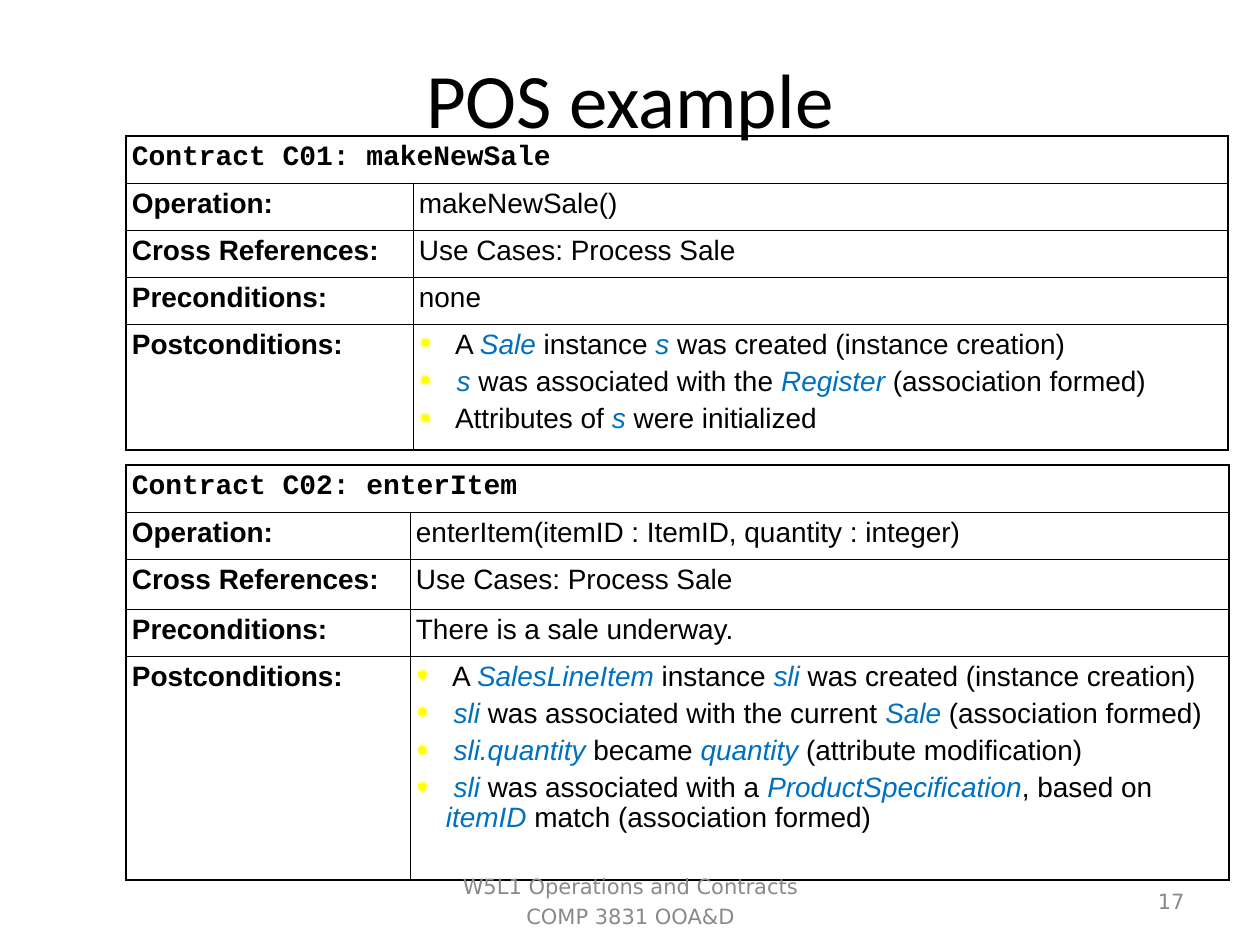
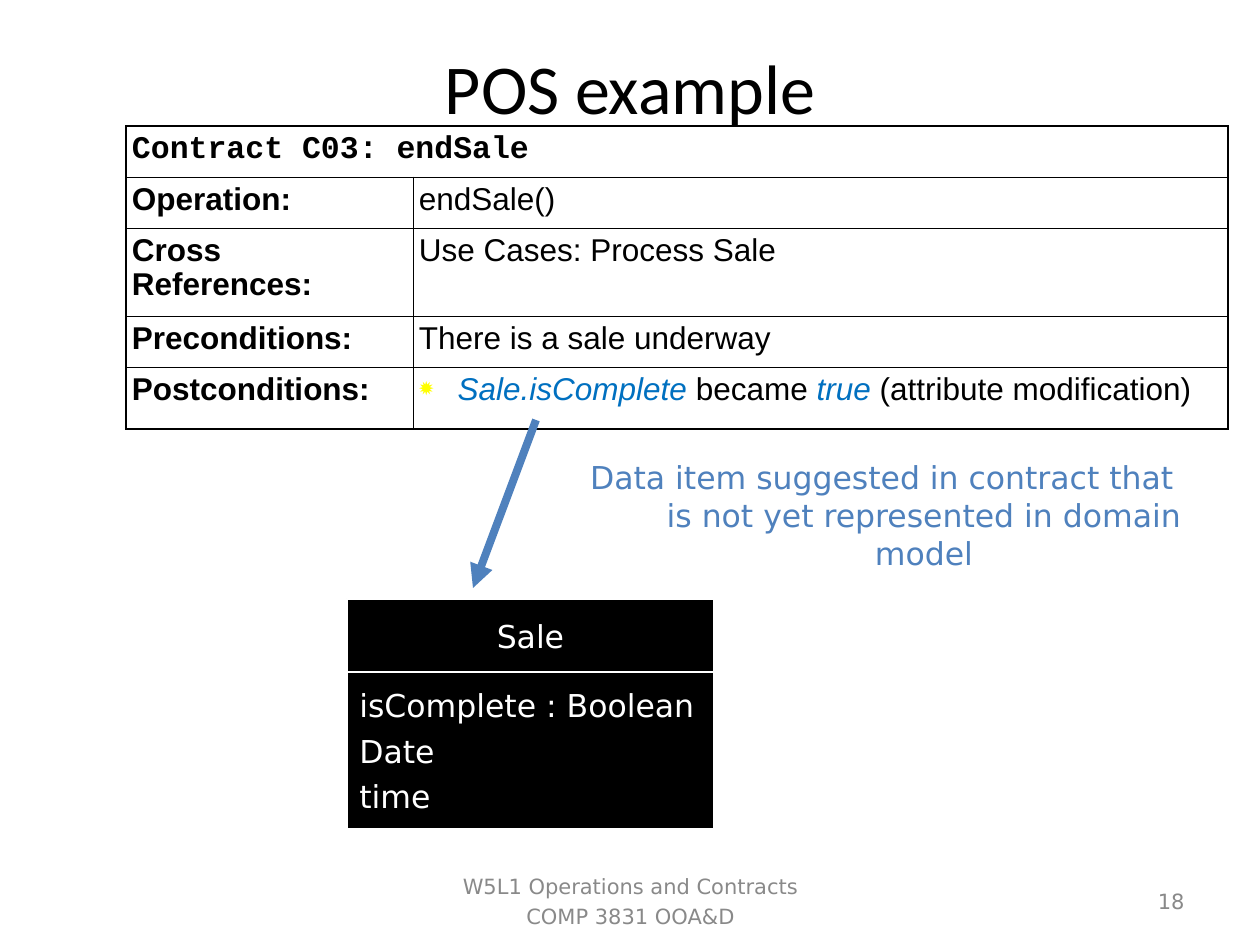
from lxml.etree import SubElement
from pptx import Presentation
from pptx.dml.color import RGBColor
from pptx.enum.shapes import MSO_CONNECTOR, MSO_SHAPE
from pptx.enum.text import MSO_ANCHOR, PP_ALIGN
from pptx.oxml.ns import qn
from pptx.util import Emu, Pt

SCALE = 914400 / 126
COLORS = {"ink": "000000", "paper": "FFFFFF", "term": "0070C0",
          "star": "FFFF00", "note": "4F81BD", "foot": "898989"}
HEAD, BODY, CODE, SANS = "Calibri", "Arial", "Courier New", "DejaVu Sans"
LABELS = ["Operation:", "Cross References:", "Preconditions:", "Postconditions:"]
THICK, THIN = 1.08, 0.45
HANG = 84


def px(n):
    return Emu(round(n * SCALE))


def rgb(name):
    return RGBColor.from_string(COLORS[name])


def add_run(para, text, size, font, color="ink", bold=False, italic=False):
    run = para.add_run()
    run.text = text
    run.font.size = Pt(size)
    run.font.name = font
    run.font.bold = bold
    run.font.italic = italic
    run.font.color.rgb = rgb(color)


def indent(para, left, first):
    props = para._p.get_or_add_pPr()
    props.set("marL", str(px(left)))
    props.set("indent", str(px(first)))
    return props


def add_paras(frame, lines):
    """Yield one paragraph for each line, reusing the first."""
    for i, line in enumerate(lines):
        yield (frame.add_paragraph() if i else frame.paragraphs[0]), line


def fill_text(frame, lines, size, font, color, align, before=0, hang=0,
              anchor=MSO_ANCHOR.MIDDLE, wrap=True):
    frame.word_wrap = wrap
    frame.vertical_anchor = anchor
    for para, line in add_paras(frame, lines):
        para.alignment = align
        para.space_before = Pt(before)
        if hang:
            indent(para, hang, -hang)
        add_run(para, line, size, font, color)


def add_text(slide, box, lines, size, font, color, align, **opts):
    shape = slide.shapes.add_textbox(*map(px, box))
    fill_text(shape.text_frame, lines, size, font, color, align, **opts)


def add_star(para):
    props = indent(para, 30, -30)
    tint = SubElement(props, qn("a:buClr"))
    SubElement(tint, qn("a:srgbClr"), val=COLORS["star"])
    SubElement(props, qn("a:buSzPct"), val="80000")
    SubElement(props, qn("a:buChar"), char="✹")


def set_edges(cell, widths):
    """Draw cell borders; widths are left, right, top, bottom in points."""
    props = cell._tc.get_or_add_tcPr()
    for side, width in zip("LRTB", widths):
        line = SubElement(props, qn("a:ln" + side), w=str(Pt(width)))
        solid = SubElement(line, qn("a:solidFill"))
        SubElement(solid, qn("a:srgbClr"), val=COLORS["ink"])
    cell.fill.background()


def fill_cell(cell, lines, size, font=BODY, bold=False, stars=False):
    """Write the lines; words between asterisks become blue italic terms."""
    for para, line in add_paras(cell.text_frame, lines):
        para.space_before = Pt(size / 4)
        para.line_spacing = 0.97
        if stars:
            add_star(para)
        for i, part in enumerate(line.split("*")):
            term = i % 2 == 1
            if part:
                add_run(para, part, size, font, "term" if term else "ink",
                        bold, term)


def add_contract(slide, top, cols, rows, size, name, facts, posts):
    frame = slide.shapes.add_table(len(rows), len(cols), px(126), px(top),
                                   px(sum(cols)), px(sum(rows)))
    table = frame.table
    table.first_row = table.horz_banding = False
    for col, width in zip(table.columns, cols):
        col.width = px(width)
    for row, height in zip(table.rows, rows):
        row.height = px(height)
    last = len(rows) - 1
    for r in range(len(rows)):
        for c in range(len(cols)):
            cell = table.cell(r, c)
            cell.margin_left = cell.margin_right = px(6)
            cell.margin_top = cell.margin_bottom = px(6)
            outer = (c == 0, c == 1 or r == 0, r == 0, r == last)
            set_edges(cell, [THICK if out else THIN for out in outer])
    title = table.cell(0, 0)
    title.merge(table.cell(0, 1))
    fill_cell(title, [name], size, CODE, bold=True)
    for r, label in enumerate(LABELS, 1):
        fill_cell(table.cell(r, 0), [label], size, bold=True)
    for r, fact in enumerate(facts, 1):
        fill_cell(table.cell(r, 1), [fact], size)
    fill_cell(table.cell(last, 1), posts, size, stars=True)


def add_class(slide, left, top, width, parts):
    """Stack the boxes of a class diagram, grouped."""
    group = slide.shapes.add_group_shape()
    for height, lines, align in parts:
        box = group.shapes.add_shape(MSO_SHAPE.RECTANGLE, px(left), px(top),
                                     px(width), px(height))
        box.shadow.inherit = False
        box.fill.solid()
        box.fill.fore_color.rgb = rgb("ink")
        box.line.color.rgb = rgb("paper")
        box.line.width = Pt(0.75)
        fill_text(box.text_frame, lines, 18, SANS, "paper", align,
                  before=4.5, hang=HANG, wrap=False)
        top += height


def add_arrow(slide, start, end):
    line = slide.shapes.add_connector(MSO_CONNECTOR.STRAIGHT,
                                      *map(px, start + end))
    line.line.color.rgb = rgb("note")
    line.line.width = Pt(4.5)
    SubElement(line.line._get_or_add_ln(), qn("a:tailEnd"), type="triangle")
    SubElement(line._element.spPr, qn("a:effectLst"))


def add_page(deck, size, height):
    slide = deck.slides.add_slide(deck.slide_layouts[6])
    add_text(slide, (63, 38, 1134, height), ["POS example"], size, HEAD,
             "ink", PP_ALIGN.CENTER)
    return slide


def add_foot(slide, page):
    add_text(slide, (431, 876, 399, 50),
             ["W5L1 Operations and Contracts", "COMP 3831 OOA&D"],
             12, SANS, "foot", PP_ALIGN.CENTER, before=3)
    add_text(slide, (903, 876, 294, 50), [str(page)], 12, SANS, "foot",
             PP_ALIGN.RIGHT, before=3)


def main():
    deck = Presentation()
    deck.slide_width, deck.slide_height = px(1260), px(945)

    slide = add_page(deck, 44, 120)
    add_contract(
        slide, 465, [284, 819], [47, 47, 50, 47, 224], 16,
        "Contract C02: enterItem",
        ["enterItem(itemID : ItemID, quantity : integer)",
         "Use Cases: Process Sale", "There is a sale underway."],
        [" A *SalesLineItem* instance *sli* was created (instance creation)",
         " *sli* was associated with the current *Sale* (association formed)",
         " *sli.quantity* became *quantity* (attribute modification)",
         " *sli* was associated with a *ProductSpecification*, based on "
         "*itemID* match (association formed)"])
    add_contract(
        slide, 136, [287, 815], [47, 47, 47, 47, 126], 16,
        "Contract C01: makeNewSale",
        ["makeNewSale()", "Use Cases: Process Sale", "none"],
        [" A *Sale* instance *s* was created (instance creation)",
         " *s* was associated with the *Register* (association formed)",
         " Attributes of *s* were initialized"])
    add_foot(slide, 17)

    slide = add_page(deck, 40, 98)
    add_contract(
        slide, 126, [287, 815], [51, 51, 88, 51, 62], 18,
        "Contract C03: endSale",
        ["endSale()", "Use Cases: Process Sale", "There is a sale underway"],
        [" *Sale.isComplete* became *true* (attribute modification)"])
    add_foot(slide, 18)
    add_arrow(slide, (536, 420), (473, 588))
    add_class(slide, 347, 599, 367, [
        (73, ["Sale"], PP_ALIGN.CENTER),
        (157, ["isComplete : Boolean", "Date", "time"], PP_ALIGN.LEFT)])
    add_text(slide, (567, 452, 630, 126),
             ["Data item suggested in contract that is not yet represented "
              "in domain model"], 18, SANS, "note", PP_ALIGN.CENTER,
             before=4.5, hang=HANG, anchor=MSO_ANCHOR.TOP)

    deck.save("out.pptx")


if __name__ == "__main__":
    main()
